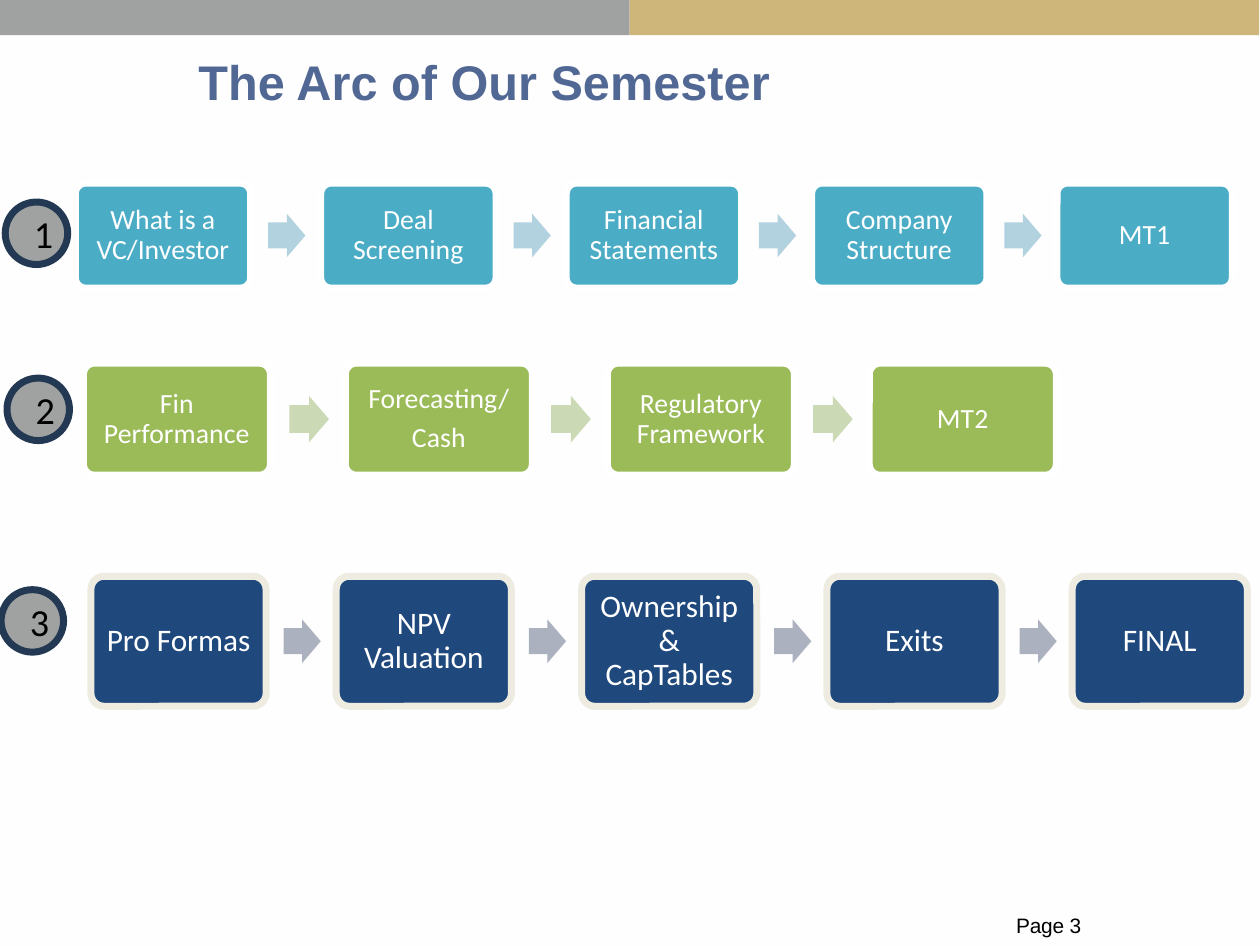
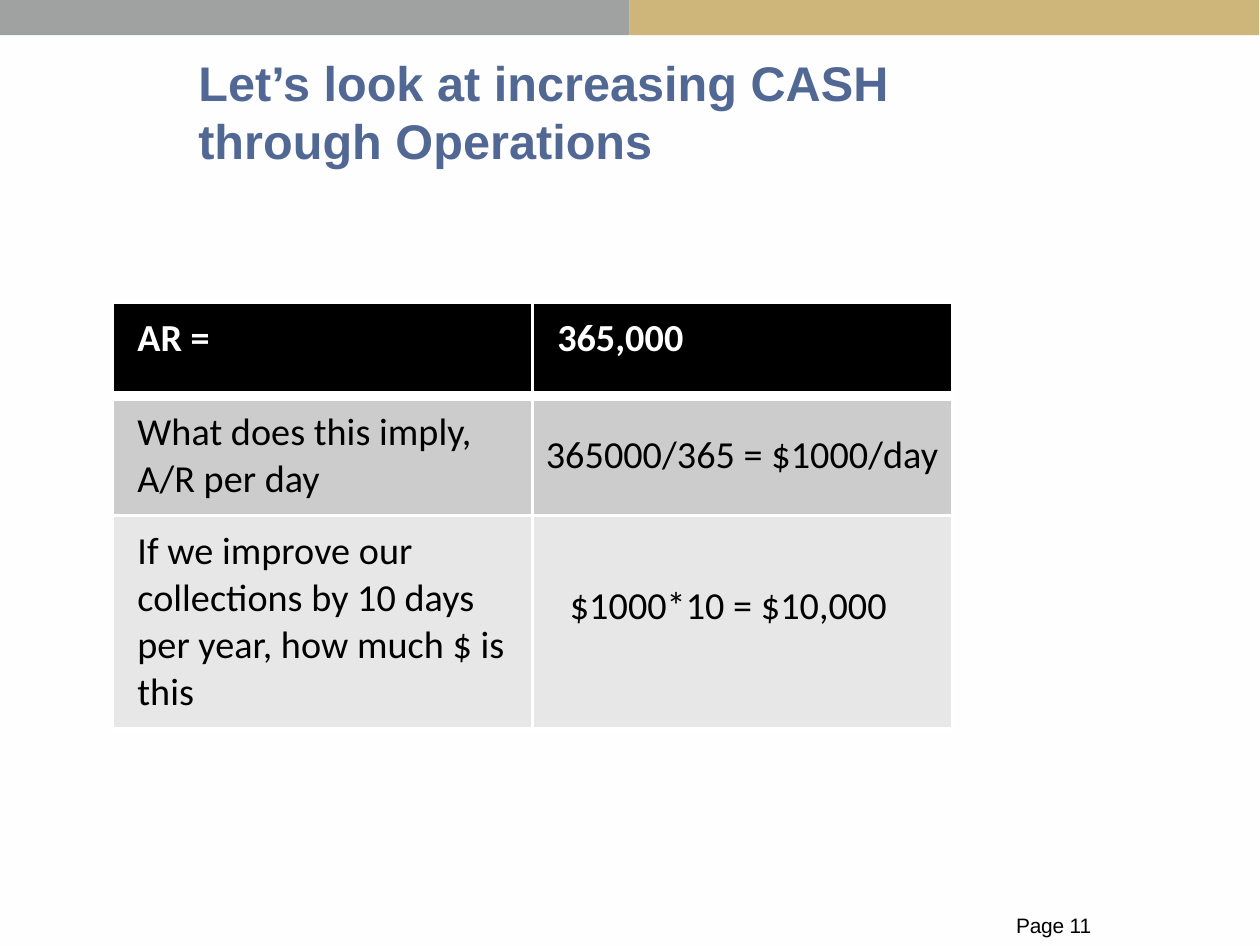
from dataclasses import dataclass

from pptx import Presentation
from pptx.dml.color import RGBColor
from pptx.enum.shapes import MSO_SHAPE
from pptx.enum.text import MSO_ANCHOR, MSO_AUTO_SIZE, PP_ALIGN
from pptx.oxml import parse_xml
from pptx.oxml.ns import nsdecls
from pptx.shapes.autoshape import Shape
from pptx.slide import Slide
from pptx.table import _Cell
from pptx.text.text import TextFrame
from pptx.util import Pt

RECTANGLE = MSO_SHAPE.RECTANGLE
ROUNDED = MSO_SHAPE.ROUNDED_RECTANGLE
ARROW = MSO_SHAPE.RIGHT_ARROW
OVAL = MSO_SHAPE.OVAL
MIDDLE = MSO_ANCHOR.MIDDLE
LEFT, CENTER = PP_ALIGN.LEFT, PP_ALIGN.CENTER
FIT_TEXT = MSO_AUTO_SIZE.SHAPE_TO_FIT_TEXT

# Shared look
SLIDE_WIDTH, SLIDE_HEIGHT = 363, 272.5
BAND_WIDTH, BAND_HEIGHT = 181.4, 10.2
COLOURS = {
    "panel": "FEFEFE", "grey": "A0A2A1", "gold": "CEB67B", "title": "526894",
    "black": "000000", "white": "FFFFFF", "cream": "EEECE1", "ring": "233953",
    "teal": "4BACC6", "pale teal": "B2D2DF", "green": "9BBB59",
    "pale green": "CBDAB5", "navy": "1F497D", "pale navy": "ACB1BF",
    "row dark": "CCCCCC", "row light": "E7E7E7",
}
FORMATS = {
    "title": {"name": "Arial", "size": Pt(14), "bold": True},
    "footer": {"name": "Arial", "size": Pt(6)},
    "step": {"name": "Calibri", "size": Pt(8)},
    "large step": {"name": "Calibri", "size": Pt(9)},
    "body": {"name": "Calibri", "size": Pt(11), "bold": False},
    "heading": {"name": "Calibri", "size": Pt(11), "bold": True},
}


@dataclass(frozen=True)
class Process:
    left: float
    top: float
    width: float
    height: float
    fill: str
    line: str
    arrow: str
    text_format: str
    margin: float
    badge_left: float
    badge_top: float
    steps: tuple[str, ...]


@dataclass(frozen=True)
class TableRow:
    height: float
    fill: str
    colour: str
    text_format: str
    border: float
    cells: tuple[str, str]


PROCESSES = (
    Process(21.75, 52.75, 50.5, 30.24, "teal", "white", "pale teal", "step", 2.2, 1.5, 58.2,
            ("What is a VC/Investor", "Deal Screening", "Financial Statements",
             "Company Structure", "MT1")),
    Process(24.05, 104.6, 53.9, 32.3, "green", "white", "pale green", "step", 2.2, 2, 108.9,
            ("Fin Performance", "Forecasting/\nCash", "Regulatory Framework", "MT2")),
    Process(26.2, 166, 50.48, 37.44, "navy", "cream", "pale navy", "large step", 2.6, 0.3, 169.85,
            ("Pro Formas", "NPV Valuation", "Ownership & CapTables", "Exits", "FINAL")),
)
TABLE_ROWS = (
    TableRow(26.9, "black", "white", "heading", 3, ("AR =", "365,000")),
    TableRow(34.4, "row dark", "black", "body", 1, ("What does this imply, A/R per day", "")),
    TableRow(61.3, "row light", "black", "body", 1,
             ("If we improve our collections by 10 days per year, how much $ is this", "")),
)


def rgb(name: str) -> RGBColor:
    return RGBColor.from_string(COLOURS[name])


def write(frame: TextFrame, text: str, text_format: str, colour: str,
          align: PP_ALIGN = LEFT) -> None:
    """Fill a frame with one paragraph per line of text."""
    frame.text = text
    for paragraph in frame.paragraphs:
        paragraph.alignment = align
        for name, value in FORMATS[text_format].items():
            setattr(paragraph.font, name, value)
            for run in paragraph.runs:
                setattr(run.font, name, value)
        for run in paragraph.runs:
            run.font.color.rgb = rgb(colour)


def set_margins(frame: TextFrame, margin: float) -> None:
    for side in ("left", "top", "right", "bottom"):
        setattr(frame, f"margin_{side}", Pt(margin))


def add_shape(slide: Slide, kind: MSO_SHAPE, left: float, top: float, width: float,
              height: float, fill: str, line: str = "") -> Shape:
    shape = slide.shapes.add_shape(kind, Pt(left), Pt(top), Pt(width), Pt(height))
    shape.shadow.inherit = False
    shape.fill.solid()
    shape.fill.fore_color.rgb = rgb(fill)
    if line:
        shape.line.color.rgb = rgb(line)
        shape.line.width = Pt(2)
    else:
        shape.line.fill.background()
    return shape


def add_text(slide: Slide, left: float, top: float, width: float, height: float,
             text: str, text_format: str, colour: str) -> TextFrame:
    frame = slide.shapes.add_textbox(Pt(left), Pt(top), Pt(width), Pt(height)).text_frame
    frame.word_wrap = True
    frame.auto_size = FIT_TEXT
    write(frame, text, text_format, colour)
    return frame


def add_base_slide(presentation: Presentation, title: str, page: int,
                   title_height: float) -> Slide:
    """Add a slide with the bands, title and page number."""
    slide = presentation.slides.add_slide(presentation.slide_layouts[6])
    add_shape(slide, RECTANGLE, 0, BAND_HEIGHT, 2 * BAND_WIDTH,
              SLIDE_HEIGHT - BAND_HEIGHT, "panel")
    for index, fill in enumerate(("grey", "gold")):
        add_shape(slide, RECTANGLE, index * BAND_WIDTH, 0, BAND_WIDTH, BAND_HEIGHT, fill)

    title_frame = add_text(slide, 57.15, 15.1, 248.4, title_height, title, "title", "title")
    footer_frame = add_text(slide, 292.75, 263.3, 24, 7.9, f"Page {page}", "footer", "black")
    for frame in (title_frame, footer_frame):
        set_margins(frame, 0)
    footer = footer_frame.paragraphs[0]
    footer.line_spacing = Pt(6.8)
    footer.runs[0].font._element.set("spc", "-5")
    return slide


def add_process(slide: Slide, number: int, process: Process) -> None:
    """Draw a numbered row of steps; arrow sizes follow the step width."""
    width = process.width
    middle = process.top + process.height / 2
    arrow_height = 0.248 * width
    for index, step in enumerate(process.steps):
        left = process.left + index * 1.4 * width
        if index:
            arrow = add_shape(slide, ARROW, left - 0.3 * width, middle - arrow_height / 2,
                              0.212 * width, arrow_height, process.arrow)
            arrow.adjustments[0] = 0.6
        box = add_shape(slide, ROUNDED, left, process.top, width, process.height,
                        process.fill, process.line)
        box.adjustments[0] = 0.1
        frame = box.text_frame
        frame.word_wrap = True
        frame.vertical_anchor = MIDDLE
        set_margins(frame, process.margin)
        write(frame, step, process.text_format, "white", CENTER)
        for position, paragraph in enumerate(frame.paragraphs):
            paragraph.line_spacing = 0.9
            paragraph.space_before = Pt(2.6 if position else 0)

    badge = add_shape(slide, OVAL, process.badge_left, process.badge_top, 18, 18, "grey", "ring")
    badge.text_frame.vertical_anchor = MIDDLE
    write(badge.text_frame, str(number), "body", "black", CENTER)


def set_borders(cell: _Cell, top: float, bottom: float) -> None:
    properties = cell._tc.get_or_add_tcPr()
    widths = {"lnL": 1, "lnR": 1, "lnT": top, "lnB": bottom}
    for index, (tag, width) in enumerate(widths.items()):
        properties.insert(index, parse_xml(
            f'<a:{tag} {nsdecls("a")} w="{Pt(width)}"><a:solidFill>'
            f'<a:srgbClr val="{COLOURS["white"]}"/></a:solidFill></a:{tag}>'))


def add_cash_table(slide: Slide) -> None:
    total = sum(row.height for row in TABLE_ROWS)
    table = slide.shapes.add_table(len(TABLE_ROWS), 2, Pt(32.4), Pt(87.2),
                                   Pt(241.92), Pt(total)).table
    top_border = 1
    for row_index, row in enumerate(TABLE_ROWS):
        table.rows[row_index].height = Pt(row.height)
        for column, text in enumerate(row.cells):
            cell = table.cell(row_index, column)
            cell.fill.solid()
            cell.fill.fore_color.rgb = rgb(row.fill)
            write(cell.text_frame, text, row.text_format, row.colour)
            set_borders(cell, top_border, row.border)
        top_border = row.border


def main() -> None:
    presentation = Presentation()
    presentation.slide_width = Pt(SLIDE_WIDTH)
    presentation.slide_height = Pt(SLIDE_HEIGHT)

    # Semester overview
    slide = add_base_slide(presentation, "The Arc of Our Semester", 3, 17)
    for number, process in enumerate(PROCESSES, start=1):
        add_process(slide, number, process)

    # Receivables example, with the answers over the table
    slide = add_base_slide(presentation, "Let’s look at increasing CASH through Operations",
                           11, 34)
    add_cash_table(slide)
    for left, top, width, answer in ((150.2, 120.5, 129.6, "365000/365 = $1000/day"),
                                     (157.1, 164, 107.3, "$1000*10 = $10,000")):
        frame = add_text(slide, left, top, width, 20.9, answer, "body", "black")
        frame.word_wrap = False

    presentation.save("out.pptx")


if __name__ == "__main__":
    main()
